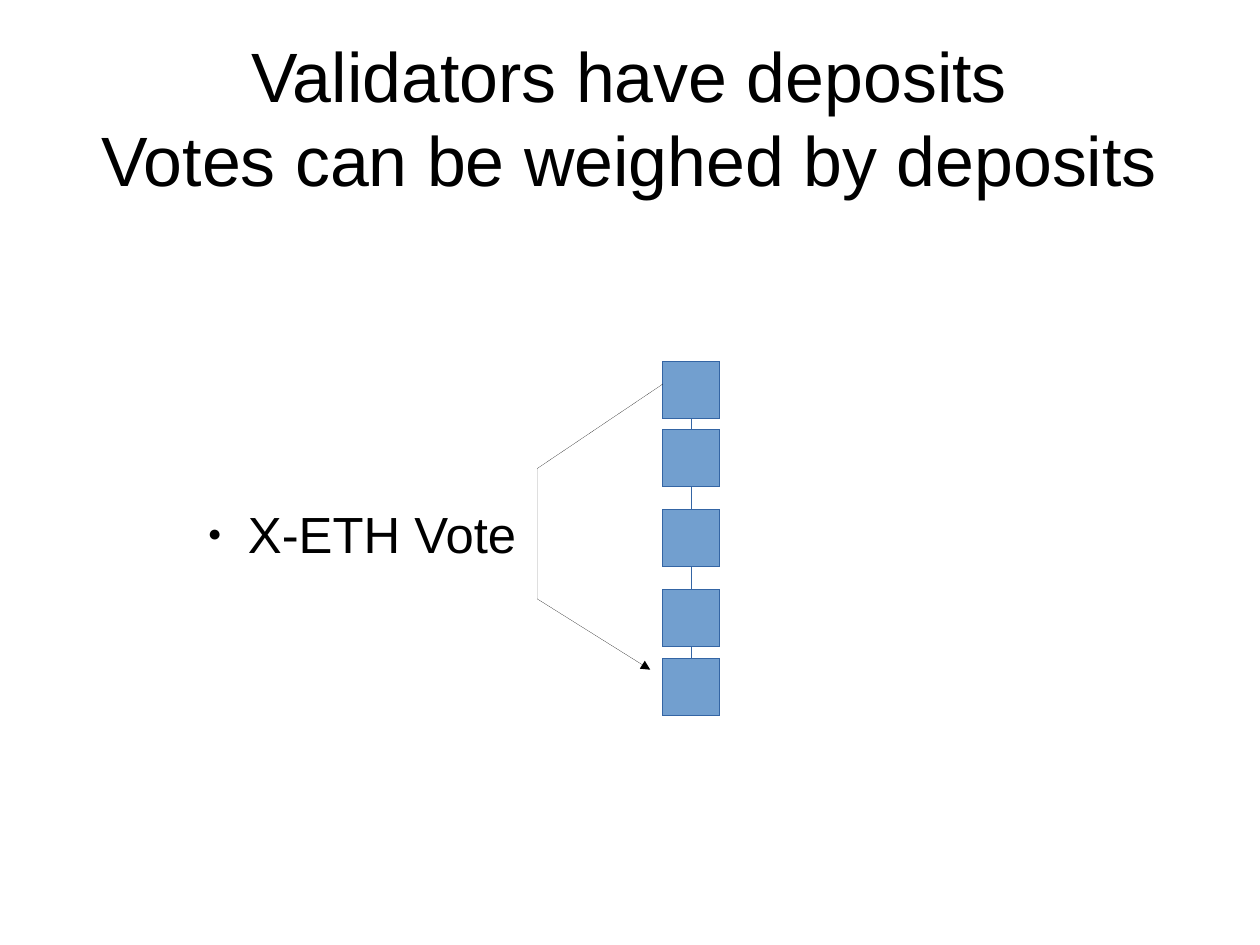
from lxml import etree
from pptx import Presentation
from pptx import util as u
from pptx.dml.color import RGBColor
from pptx.enum import shapes, text
from pptx.oxml.ns import qn

# Content
TITLE = ["Validators have deposits", "Votes can be weighed by deposits"]
VOTE = "X-ETH Vote"

# Layout in inches; the page is 28 by 21 cm
PAGE_WIDTH, PAGE_HEIGHT = 28 / 2.54, 21 / 2.54
BLOCK_LEFT, BLOCK_TOP, BLOCK_SIZE = 5.8, 3.16, 0.5
GAPS = [0.1, 0.2, 0.2, 0.1]
VOTE_PATH = [(5.8, 3.36), (4.7, 4.1), (4.7, 5.24), (5.69, 5.86)]

FONT, BLACK, BLUE, EDGE = "Arial", "000000", "729FCF", "3465A4"


def color(value):
    return RGBColor.from_string(value)


def set_font(p, size):
    for r in p.runs:
        r.font.name, r.font.size = FONT, u.Pt(size)
        r.font.color.rgb = color(BLACK)


def set_hairline(sp, value):
    sp.line.color.rgb = color(value)
    ln = sp._element.spPr.find(qn("a:ln"))
    ln.set("w", "0")  # line.width = 0 would drop the attribute
    return ln


def clear_margins(tf):
    tf.margin_left = tf.margin_right = tf.margin_top = tf.margin_bottom = 0
    tf.word_wrap = True


prs = Presentation()
prs.slide_width, prs.slide_height = u.Inches(PAGE_WIDTH), u.Inches(PAGE_HEIGHT)
s = prs.slides.add_slide(prs.slide_layouts[5])

# Title
title = s.shapes.title
title.left, title.top = u.Inches(0.55), u.Inches(0.33)
title.width, title.height = u.Inches(9.92), u.Inches(1.38)
tf = title.text_frame
clear_margins(tf)
tf.auto_size = text.MSO_AUTO_SIZE.NONE
tf.vertical_anchor = text.MSO_ANCHOR.MIDDLE
p = tf.paragraphs[0]
p.text = "\v".join(TITLE)
p.alignment = text.PP_ALIGN.CENTER
set_font(p, 44)

# Chain of blocks
blocks = []
top = BLOCK_TOP
for gap in GAPS + [0]:
    sp = s.shapes.add_shape(
        shapes.MSO_SHAPE.RECTANGLE, u.Inches(BLOCK_LEFT), u.Inches(top),
        u.Inches(BLOCK_SIZE), u.Inches(BLOCK_SIZE))
    sp.shadow.inherit = False
    sp.fill.solid()
    sp.fill.fore_color.rgb = color(BLUE)
    set_hairline(sp, EDGE)
    blocks.append(sp)
    top += BLOCK_SIZE + gap

# Vote arrow from the first block to the last
points = [(u.Inches(x), u.Inches(y)) for x, y in VOTE_PATH]
builder = s.shapes.build_freeform(*points[0])
builder.add_line_segments(points[1:], close=False)
arrow = builder.convert_to_shape()
arrow.shadow.inherit = False
arrow.fill.background()
ln = set_hairline(arrow, BLACK)
etree.SubElement(ln, qn("a:tailEnd"), type="triangle")

# Vote label with bullet
box = s.shapes.add_textbox(u.Inches(1.7), u.Inches(4.4), u.Inches(3), u.Inches(0.5))
clear_margins(box.text_frame)
p = box.text_frame.paragraphs[0]
p.text = VOTE
pPr = p._p.get_or_add_pPr()
pPr.set("marL", str(u.Inches(0.47)))
pPr.set("indent", str(u.Inches(-0.35)))
bullet_color = etree.SubElement(pPr, qn("a:buClr"))
etree.SubElement(bullet_color, qn("a:srgbClr"), val=BLACK)
etree.SubElement(pPr, qn("a:buSzPct"), val="45000")
etree.SubElement(pPr, qn("a:buFont"), typeface=FONT)
etree.SubElement(pPr, qn("a:buChar"), char="●")
set_font(p, 32)

# Links from each block up to the one before
for upper, lower in zip(blocks, blocks[1:]):
    link = s.shapes.add_connector(shapes.MSO_CONNECTOR.STRAIGHT, 0, 0, 0, 0)
    link.begin_connect(lower, 0)
    link.end_connect(upper, 2)
    set_hairline(link, EDGE)
    etree.SubElement(link._element.spPr, qn("a:effectLst"))

prs.save("out.pptx")
